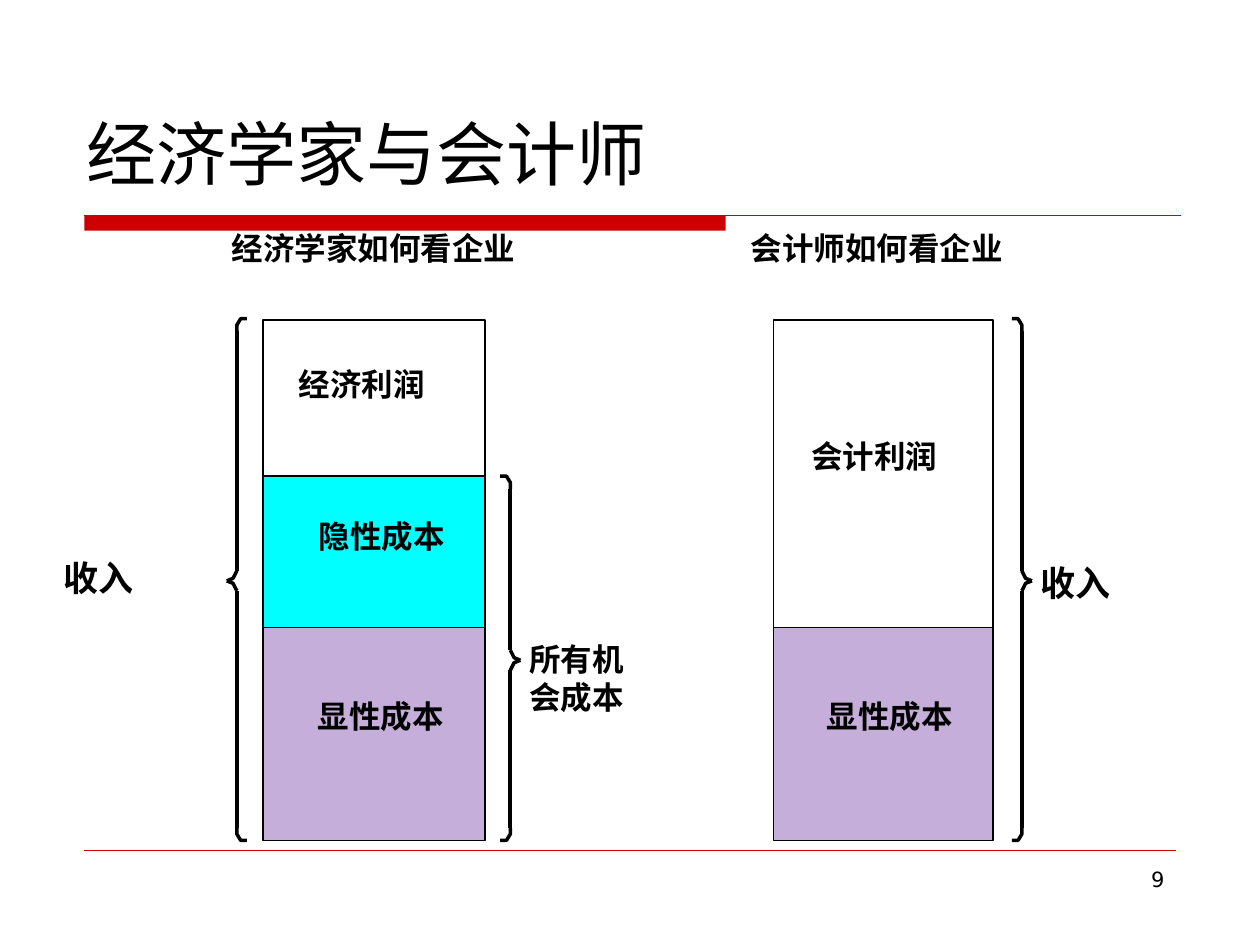
from pptx import Presentation
from pptx.dml.color import RGBColor
from pptx.enum.shapes import MSO_CONNECTOR, MSO_SHAPE
from pptx.enum.text import MSO_ANCHOR, MSO_AUTO_SIZE, PP_ALIGN
from pptx.oxml.ns import qn
from pptx.util import Inches, Pt

RECT, STRAIGHT = MSO_SHAPE.RECTANGLE, MSO_CONNECTOR.STRAIGHT
TOP, MIDDLE = MSO_ANCHOR.TOP, MSO_ANCHOR.MIDDLE
LEFT, RIGHT = PP_ALIGN.LEFT, PP_ALIGN.RIGHT
FIXED, GROW = MSO_AUTO_SIZE.NONE, MSO_AUTO_SIZE.SHAPE_TO_FIT_TEXT

THEME = {
    "ink": "000000", "accent": "CC0000",
    "profit": "FFFFFF", "implicit": "00FFFF", "explicit": "C5AED9",
    "title_font": "Noto Sans CJK SC", "label_font": "Cabin", "number_font": "DejaVu Sans",
    "title": 40, "revenue": 20, "label": 18, "number": 12,
}

TITLE = "经济学家与会计师"
PAGE_NUMBER = "9"

# Levels shared by both columns
COLUMN_TOP, IMPLICIT_TOP, EXPLICIT_TOP, COLUMN_BOTTOM = 2.54, 3.78, 4.98, 6.67
REVENUE_TOP, REVENUE_TIP = 2.53, 4.61

# Column left, width, and its blocks from the top: fill, top, bottom
COLUMNS = [
    (2.09, 1.76, [("profit", COLUMN_TOP, IMPLICIT_TOP),
                  ("implicit", IMPLICIT_TOP, EXPLICIT_TOP),
                  ("explicit", EXPLICIT_TOP, COLUMN_BOTTOM)]),
    (6.14, 1.74, [("profit", COLUMN_TOP, EXPLICIT_TOP),
                  ("explicit", EXPLICIT_TOP, COLUMN_BOTTOM)]),
]

# Spine x, top, tip y, side the tip points to (-1 left, 1 right)
BRACES = [
    (1.88, REVENUE_TOP, REVENUE_TIP, -1),
    (4.05, IMPLICIT_TOP, 5.24, 1),
    (8.11, REVENUE_TOP, REVENUE_TIP, 1),
]

# Lines, left, top, size
LABELS = [
    (["经济学家如何看企业"], 1.84, 1.82, "label"),
    (["会计师如何看企业"], 5.96, 1.82, "label"),
    (["经济利润"], 2.37, 2.9, "label"),
    (["隐性成本"], 2.53, 4.1, "label"),
    (["显性成本"], 2.52, 5.53, "label"),
    (["所有机", "会成本"], 4.2, 5.08, "label"),
    (["会计利润"], 6.44, 3.47, "label"),
    (["显性成本"], 6.56, 5.53, "label"),
    (["收入"], 0.5, 4.42, "revenue"),
    (["收入"], 8.26, 4.46, "revenue"),
]


def color(role):
    return RGBColor.from_string(THEME[role])


def add_text(slide, lines, box, size, font, bold=False, align=LEFT,
             anchor=TOP, insets=(0, 0), fit=FIXED):
    frame = slide.shapes.add_textbox(*map(Inches, box)).text_frame
    frame.word_wrap = fit == FIXED
    frame.auto_size = fit
    frame.vertical_anchor = anchor
    frame.margin_left = frame.margin_right = Inches(insets[0])
    frame.margin_top = frame.margin_bottom = Inches(insets[1])
    for index, line in enumerate(lines):
        paragraph = frame.add_paragraph() if index else frame.paragraphs[0]
        paragraph.alignment = align
        run = paragraph.add_run()
        run.text = line
        run.font.size = Pt(THEME[size])
        run.font.bold = bold
        run.font.name = THEME[font]
        run.font.color.rgb = color("ink")
        east_asian = run.font._element.makeelement(qn("a:ea"), {"typeface": THEME[font]})
        run.font._element.find(qn("a:latin")).addnext(east_asian)


def add_block(slide, box, fill, outlined=True):
    block = slide.shapes.add_shape(RECT, *map(Inches, box))
    block.shadow.inherit = False
    block.fill.solid()
    block.fill.fore_color.rgb = color(fill)
    if outlined:
        block.line.color.rgb = color("ink")
        block.line.width = Pt(1)
    else:
        block.line.fill.background()


def add_rule(slide, left, right, y, weight):
    rule = slide.shapes.add_connector(STRAIGHT, *map(Inches, (left, y, right, y)))
    rule.line.color.rgb = color("accent")
    rule.line.width = Pt(weight)
    properties = rule._element.spPr
    properties.append(properties.makeelement(qn("a:effectLst"), {}))


def add_stroke(slide, points):
    corners = [(Inches(x), Inches(y)) for x, y in points]
    builder = slide.shapes.build_freeform(*corners[0])
    builder.add_line_segments(corners[1:], close=False)
    stroke = builder.convert_to_shape()
    stroke.shadow.inherit = False
    stroke.fill.background()
    stroke.line.color.rgb = color("ink")
    stroke.line.width = Pt(2)


def add_brace(slide, spine, top, tip, side):
    """Draw a curly brace as end curl, stem and tip curve, above and below the tip."""
    for end, down in ((top, 1), (COLUMN_BOTTOM, -1)):
        stem_start, stem_end = end + down * 0.1, tip - down * 0.08
        end_curl = [(-0.08, end), (-0.03, end), (0, end + down * 0.05), (0, stem_start)]
        stem = [(0, stem_start), (0, stem_end)]
        tip_curve = [(0, stem_end), (0.03, tip - down * 0.02), (0.08, tip)]
        for part in (end_curl, stem, tip_curve):
            add_stroke(slide, [(spine + side * dx, y) for dx, y in part])


def main():
    deck = Presentation()
    deck.slide_width, deck.slide_height = Inches(10), Inches(7.5)
    slide = deck.slides.add_slide(deck.slide_layouts[6])

    add_block(slide, (0.67, 1.71, 5.09, 0.12), "accent", outlined=False)
    add_rule(slide, 0.67, 9.37, 1.71, 1)
    add_rule(slide, 0.67, 9.33, 6.75, 0.25)
    add_text(slide, [PAGE_NUMBER], (7.17, 6.83, 2.17, 0.52), "number", "number_font",
             align=RIGHT, insets=(0.1, 0.05))
    add_text(slide, [TITLE], (0.59, 0.75, 9.08, 0.92), "title", "title_font",
             anchor=MIDDLE, insets=(0.1, 0.05))

    for left, width, blocks in COLUMNS:
        for fill, top, bottom in blocks:
            add_block(slide, (left, top, width, bottom - top), fill)
    for brace in BRACES:
        add_brace(slide, *brace)
    for lines, left, top, size in LABELS:
        em = THEME[size] / 72
        box = (left, top, len(lines[0]) * em + 0.01, len(lines) * em * 1.2)
        add_text(slide, lines, box, size, "label_font", bold=True, fit=GROW)

    deck.save("out.pptx")


if __name__ == "__main__":
    main()
